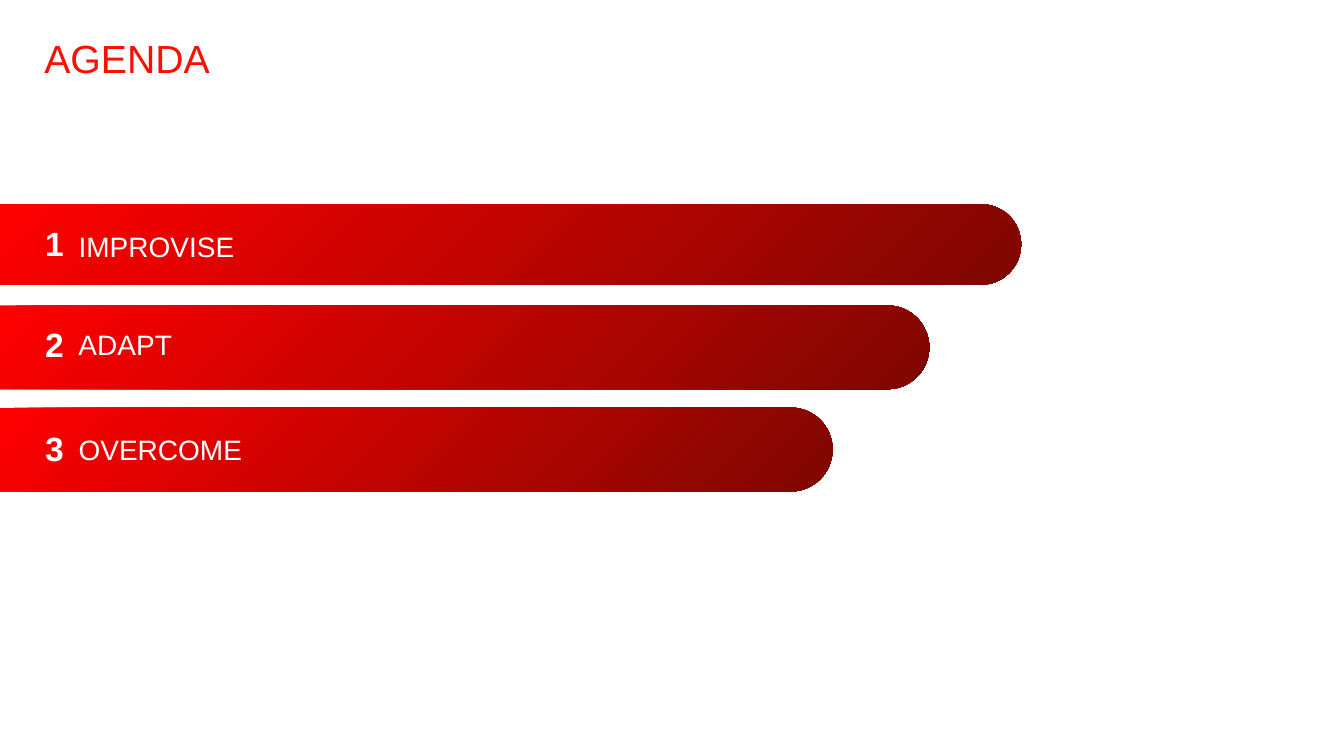
from dataclasses import dataclass

from lxml import etree
from pptx import Presentation
from pptx.dml.color import RGBColor
from pptx.enum import shapes, text
from pptx.oxml.ns import qn
from pptx.util import Pt

TITLE = "AGENDA"
# label, bar (top, length, height), number centre, label centre, label width
AGENDA = [
    ("IMPROVISE", (145.8, 729.4, 57.6), 173.5, 175.7, 480),
    ("ADAPT", (218.2, 663.8, 59.8), 245.5, 246.2, 468),
    ("OVERCOME", (291.2, 594.7, 59.8), 320.4, 321.1, 558),
]


@dataclass(frozen=True)
class Theme:
    font: str = "Arial"
    title: str = "FA0F00"
    label: str = "FFFFFF"
    bar_dark: str = "7D0700"
    bar_bright: str = "FF0000"
    title_size: int = 28
    number_size: int = 24
    label_size: int = 20


THEME = Theme()
NUMBER_LEFT, NUMBER_WIDTH, NUMBER_HEIGHT = 25.2, 30.2, 36
LABEL_LEFT, LABEL_HEIGHT = 49, 31.6


def write(shape, words, size, color, bold=False):
    frame = shape.text_frame
    frame.text = words
    frame.word_wrap = True
    frame.auto_size = text.MSO_AUTO_SIZE.NONE
    paragraph = frame.paragraphs[0]
    paragraph.alignment = text.PP_ALIGN.LEFT
    font = paragraph.runs[0].font
    font.name, font.size, font.bold = THEME.font, Pt(size), bold
    font.color.rgb = RGBColor.from_string(color)
    return frame


def fill_from_corner(shape):
    """Fill with a circular gradient whose dark centre is the lower right corner."""
    shape.fill.gradient()
    gradient = shape.fill._xPr.find(qn("a:gradFill"))
    gradient.set("rotWithShape", "0")
    for child in list(gradient):
        gradient.remove(child)
    stops = etree.SubElement(gradient, qn("a:gsLst"))
    for position, color in (("0", THEME.bar_dark), ("100000", THEME.bar_bright)):
        stop = etree.SubElement(stops, qn("a:gs"), pos=position)
        etree.SubElement(stop, qn("a:srgbClr"), val=color)
    circle = etree.SubElement(gradient, qn("a:path"), {"path": "circle"})
    etree.SubElement(circle, qn("a:fillToRect"), l="100000", t="100000")


def add_bar(slide, top, length, height):
    """Add an upright shape turned a quarter so its round end points right."""
    left = (length - height) / 2
    upright_top = top + (height - length) / 2
    bar = slide.shapes.add_shape(
        shapes.MSO_SHAPE.ROUND_2_SAME_RECTANGLE,
        Pt(left), Pt(upright_top), Pt(height), Pt(length))
    bar.rotation = 90
    bar.adjustments[0], bar.adjustments[1] = 0.5, 0
    bar.shadow.inherit = False
    bar.line.fill.background()
    fill_from_corner(bar)


def add_centred_text(slide, words, left, centre, width, height, size, bold=False):
    box = slide.shapes.add_textbox(
        Pt(left), Pt(centre - height / 2), Pt(width), Pt(height))
    frame = write(box, words, size, THEME.label, bold)
    frame.vertical_anchor = text.MSO_ANCHOR.MIDDLE


def main():
    presentation = Presentation()
    presentation.slide_width, presentation.slide_height = Pt(960), Pt(540)
    slide = presentation.slides.add_slide(presentation.slide_layouts[5])

    title = slide.shapes.title
    title.left, title.top, title.width, title.height = Pt(24.5), Pt(24.5), Pt(905), Pt(51)
    frame = write(title, TITLE, THEME.title_size, THEME.title)
    frame.vertical_anchor = text.MSO_ANCHOR.TOP
    frame.paragraphs[0].line_spacing = 0.9

    for number, (label, bar, number_centre, label_centre, width) in enumerate(AGENDA, 1):
        add_bar(slide, *bar)
        add_centred_text(slide, str(number), NUMBER_LEFT, number_centre,
                         NUMBER_WIDTH, NUMBER_HEIGHT, THEME.number_size, bold=True)
        add_centred_text(slide, label, LABEL_LEFT, label_centre,
                         width, LABEL_HEIGHT, THEME.label_size)

    presentation.save("out.pptx")


if __name__ == "__main__":
    main()
